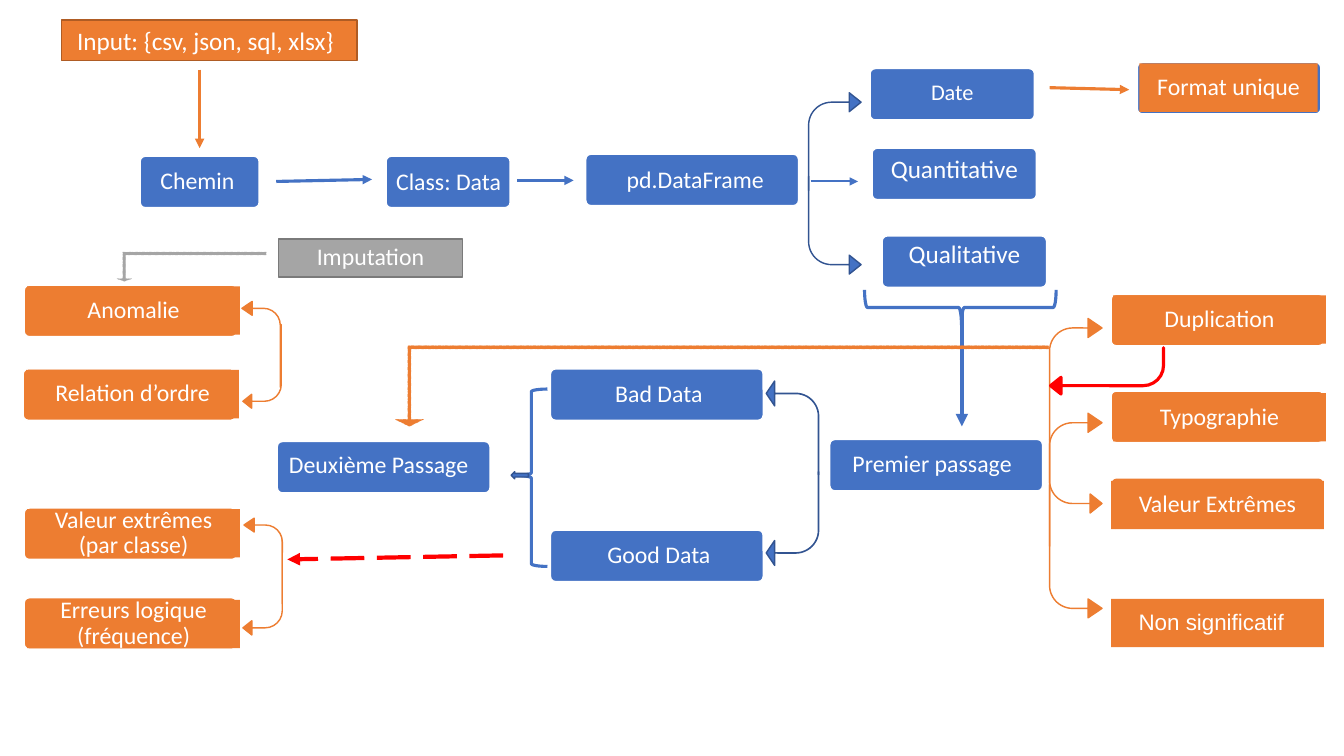
import pptx
import pptx.util
import pptx.dml.color
import pptx.enum.dml
import pptx.enum.shapes
import pptx.enum.text
import pptx.oxml.ns
import lxml.etree

Inches = pptx.util.Inches
Pt = pptx.util.Pt
RGBColor = pptx.dml.color.RGBColor
SHAPE = pptx.enum.shapes.MSO_SHAPE
DASH = pptx.enum.dml.MSO_LINE
qn = pptx.oxml.ns.qn

BLUE = RGBColor(0x44, 0x72, 0xC4)
NAVY = RGBColor(0x32, 0x54, 0x91)
ORANGE = RGBColor(0xED, 0x7D, 0x31)
BROWN = RGBColor(0xAF, 0x5C, 0x24)
GRAY = RGBColor(0xA5, 0xA5, 0xA5)
DARK_GRAY = RGBColor(0x7A, 0x7A, 0x7A)
RED = RGBColor(0xFF, 0x00, 0x00)
WHITE = RGBColor(0xFF, 0xFF, 0xFF)

CARD_HEIGHT, LABEL_HEIGHT = 0.51, 0.48
WIDE = 2.11

# Blue cards: text, left, top, width, size, label (left shift, top shift, width, height)
BLUE_CARDS = [
    ("Class: Data", 3.83, 1.55, 1.23, 17, (0.02, 0.02, 1.2, LABEL_HEIGHT)),
    ("Chemin ", 1.39, 1.55, 1.18, 17, (0.02, 0.01, 1.15, LABEL_HEIGHT)),
    ("pd.DataFrame", 5.81, 1.53, WIDE, 17, (0.03, 0.02, WIDE, LABEL_HEIGHT)),
    ("Quantitative", 8.65, 1.47, 1.63, 18, (0.02, 0.01, 1.59, 0.42)),
    ("Qualitative", 8.75, 2.34, 1.63, 18, (0.02, 0.01, 1.59, 0.37)),
    ("Date", 8.63, 0.68, 1.63, 16, (0.02, 0.01, 1.59, LABEL_HEIGHT)),
    ("Premier passage", 8.23, 4.36, WIDE, 17, (-0.04, 0.01, WIDE, LABEL_HEIGHT)),
    ("Bad Data", 5.46, 3.66, WIDE, 17, (0.02, 0.02, WIDE, LABEL_HEIGHT)),
    ("Good Data", 5.46, 5.26, WIDE, 17, (0.02, 0.01, WIDE, LABEL_HEIGHT)),
    ("Deuxième Passage", 2.75, 4.38, WIDE, 17, (-0.05, 0, WIDE, LABEL_HEIGHT)),
]
# Orange check cards: text, left, top, label left shift, label top shift
CHECK_CARDS = [
    ("Duplication", 11.02, 2.92, 0.02, 0.01),
    ("Typographie", 11.02, 3.88, 0.02, 0.02),
    ("Valeur Extrêmes", 11.02, 4.74, 0, 0.03),
    ("Anomalie", 0.24, 2.83, 0.03, 0.01),
    ("Relation d’ordre", 0.23, 3.66, 0.03, 0.01),
    ("Valeur extrêmes (par classe)", 0.24, 5.04, 0.03, 0.01),
    ("Erreurs logique (fréquence)", 0.24, 5.93, 0.03, 0.02),
]
# Straight arrows: start, end, colour, width, dash
STRAIGHT_ARROWS = [
    ((1.98, 0.69), (1.98, 1.47), ORANGE, 2.25, None),
    ((2.74, 1.8), (3.69, 1.78), BLUE, 2.25, None),
    ((5.13, 1.79), (5.69, 1.79), BLUE, 2.25, None),
    ((8.04, 1.8), (8.51, 1.8), BLUE, 1.5, None),
    ((10.41, 0.87), (11.2, 0.89), ORANGE, 2.25, None),
    ((9.54, 3.12), (9.54, 4.23), BLUE, 3, None),
    ((4.99, 5.51), (2.85, 5.55), RED, 3, DASH.LONG_DASH),
]
# Bent arrows: box, flips, fill, line, line width, adjustments
TIGHT = (0, 0.181, 0.226, 0.438)
ROUND = (0, 0.181, 0.267, 0.438)
BROAD = (0.005, 0.238, 0.16, 0.438)
BENT_ARROWS = [
    ((8.02, 1.75, 0.52, 0.97), "V", BLUE, NAVY, 1, TIGHT),
    ((8.02, 0.92, 0.52, 0.97), "", BLUE, NAVY, 1, TIGHT),
    ((7.6, 3.78, 0.52, 0.93), "H", BLUE, NAVY, 1, BROAD),
    ((7.6, 4.68, 0.52, 0.93), "HV", BLUE, NAVY, 1, BROAD),
    ((10.41, 3.16, 0.52, 1.2), "", ORANGE, ORANGE, 1, ROUND),
    ((10.41, 4.1, 0.52, 1.32), "", ORANGE, ORANGE, 1, ROUND),
    ((10.41, 4.36, 0.52, 0.73), "V", ORANGE, ORANGE, 1, TIGHT),
    ((10.41, 4.81, 0.52, 1.32), "V", ORANGE, ORANGE, 1, ROUND),
    ((2.4, 2.99, 0.38, 0.85), "H", ORANGE, ORANGE, 1, ROUND),
    ((2.41, 3.22, 0.38, 0.83), "HV", ORANGE, ORANGE, 1, TIGHT),
    ((2.42, 5.14, 0.38, 0.85), "H", ORANGE, ORANGE, 1, ROUND),
    ((2.41, 5.36, 0.39, 0.94), "HV", ORANGE, ORANGE, 1, TIGHT),
    ((10.42, 3.45, 1.12, 0.46), "HV", RED, RED, 2.25, TIGHT),
]
# Elbow arrows: box, colour, adjustments
ELBOW_ARROWS = [
    ((3.92, 3.43, 6.48, 0.8), ORANGE, (0.038, 0.175, 0.087)),
    ((1.16, 2.5, 1.48, 0.29), GRAY, (0.097, 0.25, 0.087)),
]
# Braces: box, rotation, adjustments
BRACES = [
    ((9.35, 2.1, 0.35, 1.9), 270, (0.083, 0.506)),
    ((5.11, 3.86, 0.32, 1.76), 0, (0.083, 0.487)),
]

presentation = pptx.Presentation()
presentation.slide_width = Inches(13.33)
presentation.slide_height = Inches(7.5)
slide = presentation.slides.add_slide(presentation.slide_layouts[6])


def add_shape(kind, box, fill=None, line=None, width=1, adjustments=(), flips="", rotation=0):
    shape = slide.shapes.add_shape(kind, *map(Inches, box))
    shape.shadow.inherit = False
    shape.rotation = rotation
    for index, value in enumerate(adjustments):
        shape.adjustments[index] = value
    for axis in flips:
        shape._element.spPr.find(qn("a:xfrm")).set("flip" + axis, "1")
    for part, color in ((shape.fill, fill), (shape.line.fill, line)):
        if color is None:
            part.background()
        else:
            part.solid()
            part.fore_color.rgb = color
    if line is not None:
        shape.line.width = Pt(width)
    return shape


def write_label(shape, text, size=17, font="Calibri"):
    frame = shape.text_frame
    frame.text = text
    frame.word_wrap = True
    frame.vertical_anchor = pptx.enum.text.MSO_ANCHOR.MIDDLE
    frame.margin_left = frame.margin_right = Inches(0.07)
    frame.margin_top = frame.margin_bottom = Inches(0.07)
    paragraph = frame.paragraphs[0]
    paragraph.alignment = pptx.enum.text.PP_ALIGN.CENTER
    paragraph.line_spacing = 0.9
    run_font = paragraph.runs[0].font
    run_font.name, run_font.size, run_font.color.rgb = font, Pt(size), WHITE


def add_card(text, left, top, width, size, label, back, front):
    shift_x, shift_y, label_width, label_height = label
    add_shape(SHAPE.ROUNDED_RECTANGLE, (left, top, width, CARD_HEIGHT), back, WHITE, 1, (0.1,))
    label_box = (left + shift_x, top + shift_y, label_width, label_height)
    write_label(add_shape(SHAPE.RECTANGLE, label_box, front), text, size)


def add_straight_arrow(start, end, color, width, dash):
    points = map(Inches, start + end)
    arrow = slide.shapes.add_connector(pptx.enum.shapes.MSO_CONNECTOR.STRAIGHT, *points)
    arrow.line.color.rgb = color
    arrow.line.width = Pt(width)
    if dash is not None:
        arrow.line.dash_style = dash
    lxml.etree.SubElement(arrow.line._get_or_add_ln(), qn("a:tailEnd"), type="triangle")
    lxml.etree.SubElement(arrow._element.spPr, qn("a:effectLst"))


# Cards
for text, left, top, width, size, label in BLUE_CARDS:
    add_card(text, left, top, width, size, label, BLUE, None)
for text, left, top, shift_x, shift_y in CHECK_CARDS:
    add_card(text, left, top, WIDE, 17, (shift_x, shift_y, WIDE, LABEL_HEIGHT), ORANGE, ORANGE)
add_card("Format unique", 11.28, 0.62, 1.82, 17, (0.02, 0.01, 1.77, LABEL_HEIGHT), BLUE, ORANGE)

# Plain boxes
not_significant = add_shape(SHAPE.RECTANGLE, (11.02, 5.94, WIDE, LABEL_HEIGHT), ORANGE)
write_label(not_significant, "Non significatif  ", 16, "Arial")
imputation = add_shape(SHAPE.RECTANGLE, (2.76, 2.37, 1.83, 0.38), GRAY, DARK_GRAY)
write_label(imputation, "Imputation")
input_box = add_shape(SHAPE.RECTANGLE, (0.61, 0.2, 2.93, 0.4), ORANGE, BROWN)
write_label(input_box, " Input: {csv, json, sql, xlsx}", 18)
input_box.text_frame.margin_left = input_box.text_frame.margin_right = Inches(0.1)
input_box.text_frame.paragraphs[0].alignment = pptx.enum.text.PP_ALIGN.LEFT
input_box.text_frame.paragraphs[0].line_spacing = 1.0

# Arrows and braces
for arrow in STRAIGHT_ARROWS:
    add_straight_arrow(*arrow)
for box, rotation, adjustments in BRACES:
    add_shape(SHAPE.LEFT_BRACE, box, None, BLUE, 2.25, adjustments, rotation=rotation)
for box, flips, fill, line, width, adjustments in BENT_ARROWS:
    add_shape(SHAPE.BENT_ARROW, box, fill, line, width, adjustments, flips)
add_shape(SHAPE.DOWN_ARROW, (5.12, 4.63, 0.07, 0.17), BLUE, NAVY, rotation=90)
for box, color, adjustments in ELBOW_ARROWS:
    elbow = add_shape(SHAPE.BENT_UP_ARROW, box, color, color, 0.25, adjustments, rotation=180)
    elbow.line.dash_style = DASH.DASH_DOT_DOT

presentation.save("out.pptx")
